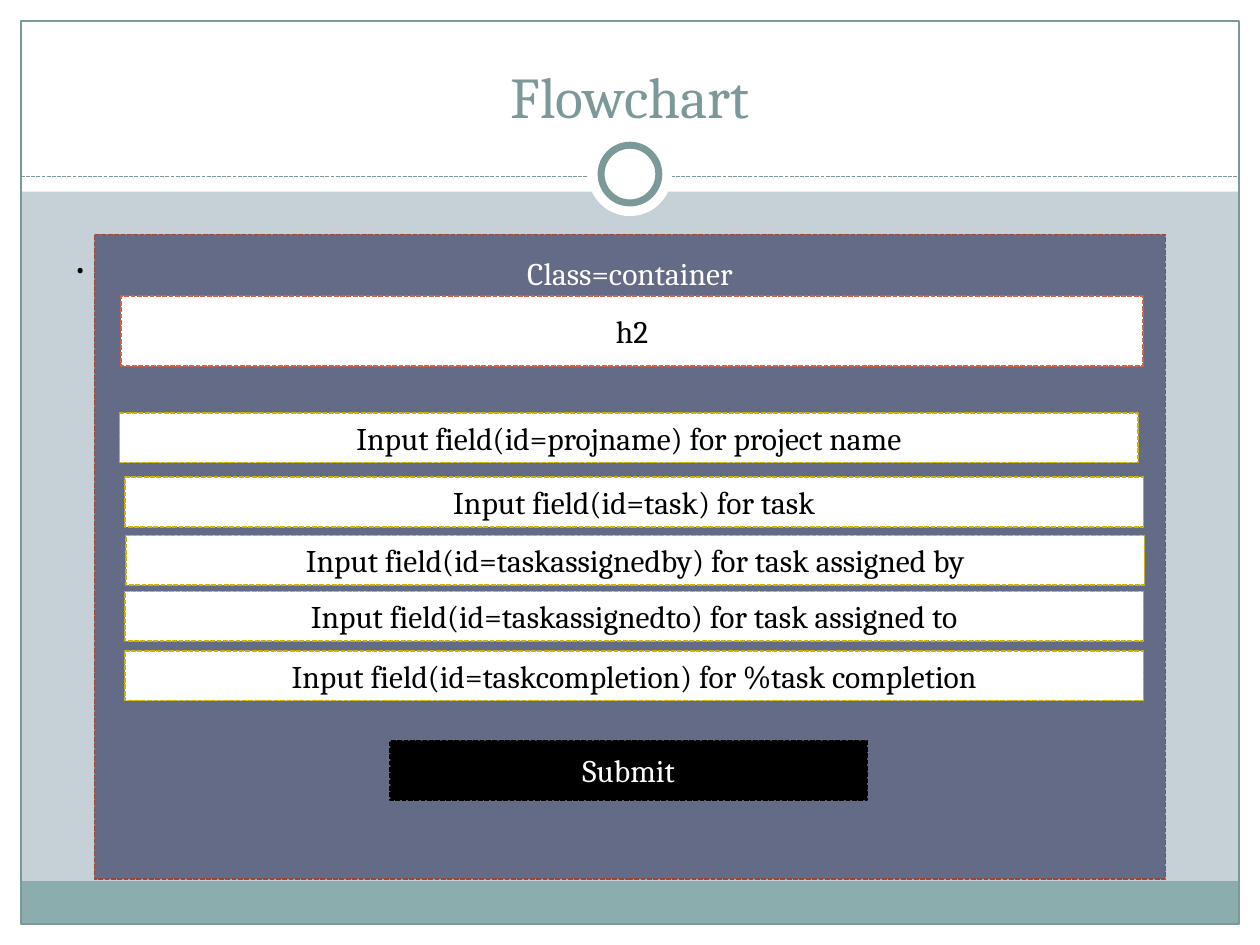
from dataclasses import dataclass
from typing import Optional

from lxml import etree
from pptx import Presentation
from pptx.dml.color import RGBColor
from pptx.enum.dml import MSO_LINE
from pptx.enum.shapes import MSO_CONNECTOR, MSO_SHAPE
from pptx.enum.text import MSO_ANCHOR, PP_ALIGN
from pptx.oxml.ns import qn
from pptx.util import Pt

RECTANGLE, OVAL = MSO_SHAPE.RECTANGLE, MSO_SHAPE.OVAL
STRAIGHT = MSO_CONNECTOR.STRAIGHT
DASH = MSO_LINE.SQUARE_DOT
LEFT, CENTER = PP_ALIGN.LEFT, PP_ALIGN.CENTER
TOP, MIDDLE, BOTTOM = MSO_ANCHOR.TOP, MSO_ANCHOR.MIDDLE, MSO_ANCHOR.BOTTOM

FONT = "Cambria"
WIDTH, HEIGHT = 720, 540
MARGIN = 12
COLORS = {
    "background": "C5D1D7",
    "white": "FFFFFF",
    "black": "000000",
    "footer": "8CADAE",
    "accent": "7C999A",
    "container": "646B86",
    "container_edge": "9B4936",
    "heading_edge": "D16349",
    "input_edge": "CCB400",
}


@dataclass
class Panel:
    left: float
    top: float
    width: float
    height: float
    fill: Optional[str] = "white"
    edge: Optional[str] = None
    edge_width: float = 0.9
    dashed: bool = False
    kind: int = RECTANGLE


@dataclass
class Label:
    text: str
    size: float = 18
    color: str = "black"
    align: int = CENTER
    anchor: int = MIDDLE
    top_inset: float = 3.6


def rgb(name: str) -> RGBColor:
    return RGBColor.from_string(COLORS[name])


def write_label(box, label: Label) -> None:
    frame = box.text_frame
    frame.text = label.text
    frame.word_wrap = True
    frame.vertical_anchor = label.anchor
    frame.margin_top = Pt(label.top_inset)
    para = frame.paragraphs[0]
    para.alignment = label.align
    font = para.runs[0].font
    font.name, font.size = FONT, Pt(label.size)
    font.color.rgb = rgb(label.color)


def draw_panel(page, panel: Panel, label: Optional[Label] = None) -> None:
    box = page.shapes.add_shape(panel.kind, Pt(panel.left), Pt(panel.top),
                                Pt(panel.width), Pt(panel.height))
    box.shadow.inherit = False
    if panel.fill:
        box.fill.solid()
        box.fill.fore_color.rgb = rgb(panel.fill)
    else:
        box.fill.background()
    if panel.edge:
        box.line.color.rgb = rgb(panel.edge)
        box.line.width = Pt(panel.edge_width)
        if panel.dashed:
            box.line.dash_style = DASH
    else:
        box.line.fill.background()
    if label:
        write_label(box, label)


def draw_text(page, left: float, top: float, width: float, height: float,
              label: Label) -> None:
    box = page.shapes.add_textbox(Pt(left), Pt(top), Pt(width), Pt(height))
    write_label(box, label)


def draw_divider(page, y: float) -> None:
    line = page.shapes.add_connector(STRAIGHT, Pt(MARGIN), Pt(y),
                                     Pt(WIDTH - MARGIN), Pt(y))
    line.line.color.rgb = rgb("accent")
    line.line.width = Pt(0.75)
    line.line.dash_style = DASH
    etree.SubElement(line._element.spPr, qn("a:effectLst"))


def draw_frame(page) -> None:
    inner_width = WIDTH - 2 * MARGIN
    # White borders, header band and footer band
    for panel in (
        Panel(0, HEIGHT - MARGIN, WIDTH, MARGIN),
        Panel(0, 0, WIDTH, 109.5),
        Panel(0, 0, MARGIN, HEIGHT),
        Panel(WIDTH - MARGIN, 0, MARGIN, HEIGHT),
        Panel(MARGIN, 503.5, inner_width, 24.5, "footer"),
        Panel(MARGIN, MARGIN, inner_width, HEIGHT - 2 * MARGIN, None, "accent", 0.75),
    ):
        draw_panel(page, panel)
    # Dashed divider with the ring on top
    draw_divider(page, 100.8)
    draw_panel(page, Panel(336, 75.5, 48, 48, kind=OVAL))
    draw_panel(page, Panel(343.5, 83, 33, 33, edge="accent", edge_width=4, kind=OVAL))


def draw_form(page) -> None:
    # Container
    draw_panel(page, Panel(54, 134, 612, 368.5, "container", "container_edge", dashed=True),
               Label("Class=container", color="white", anchor=TOP, top_inset=11))
    # Heading
    draw_panel(page, Panel(69.2, 169.2, 584, 40, edge="heading_edge", dashed=True),
               Label("h2"))
    # Input fields: left, top, id, purpose
    for left, top, field, purpose in (
        (68.4, 236, "projname", "project name"),
        (71.4, 272.7, "task", "task"),
        (72, 306, "taskassignedby", "task assigned by"),
        (71.4, 338, "taskassignedto", "task assigned to"),
        (71.4, 372, "taskcompletion", "%task completion"),
    ):
        draw_panel(page, Panel(left, top, 582, 28.4, edge="input_edge", dashed=True),
                   Label(f"Input field(id={field}) for {purpose}"))
    # Submit button
    draw_panel(page, Panel(223, 423.2, 272.5, 34, "black", "black", dashed=True),
               Label("Submit", color="white"))


def main() -> None:
    deck = Presentation()
    deck.slide_width, deck.slide_height = Pt(WIDTH), Pt(HEIGHT)
    page = deck.slides.add_slide(deck.slide_layouts[6])
    page.background.fill.solid()
    page.background.fill.fore_color.rgb = rgb("background")

    draw_frame(page)
    # Title and body text
    draw_text(page, 24, 18, 672, 60, Label("Flowchart", 33, "accent", anchor=BOTTOM))
    draw_text(page, 36, 126, 648, 393, Label(".", 27, align=LEFT, anchor=TOP))
    draw_form(page)
    deck.save("out.pptx")


if __name__ == "__main__":
    main()
